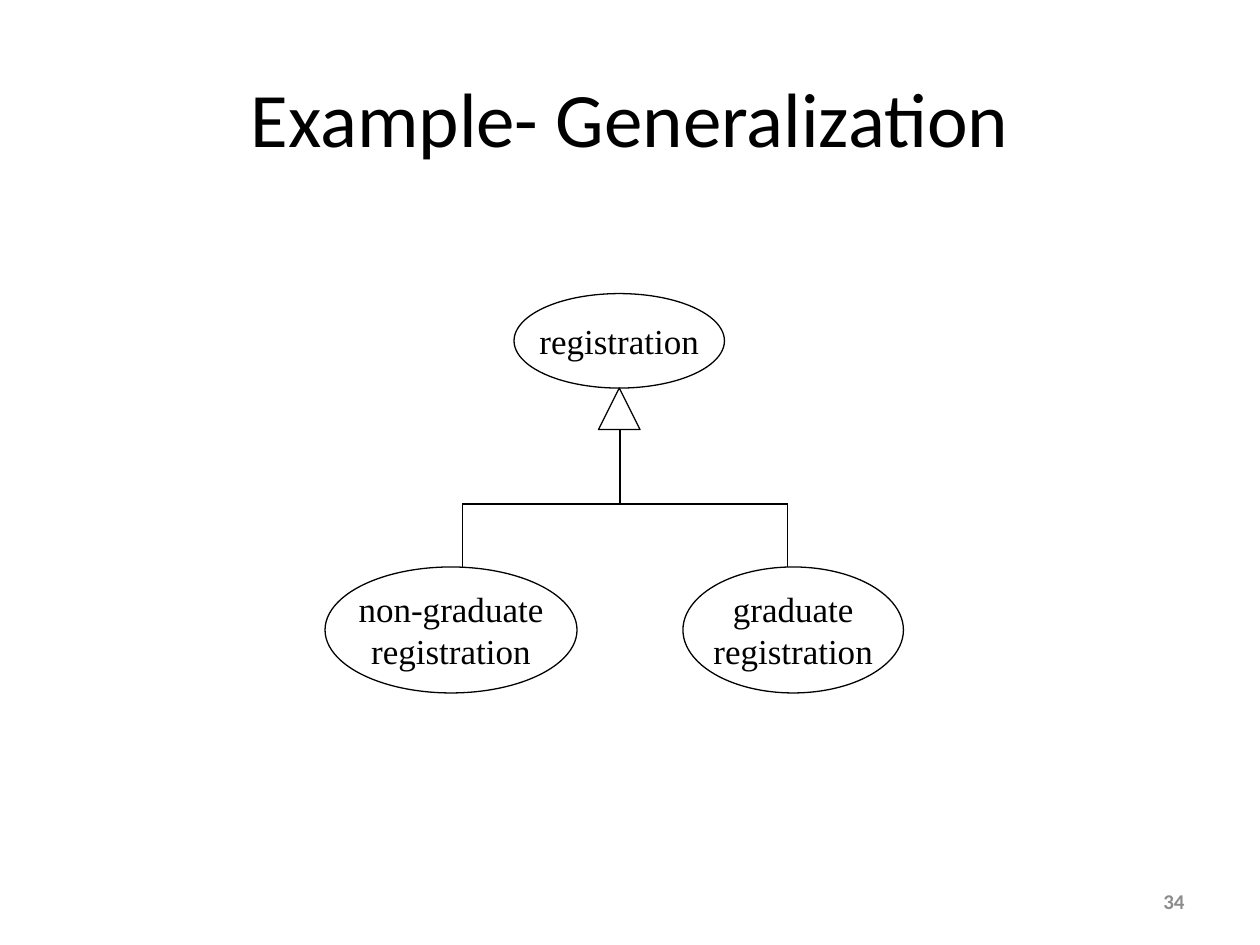
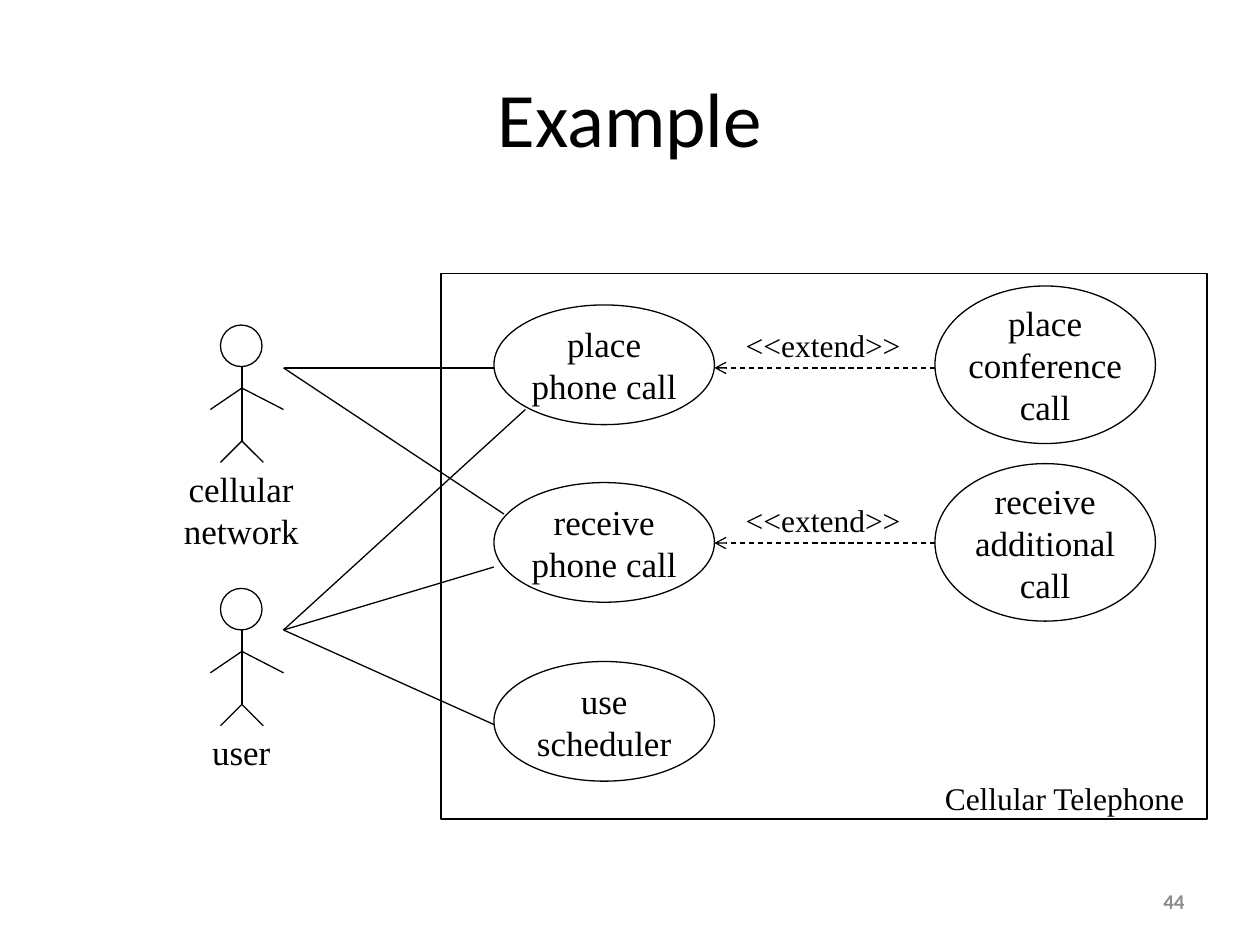
from lxml.etree import SubElement as Sub
from pptx import Presentation
from pptx.dml.color import RGBColor as Rgb
from pptx.enum.dml import MSO_LINE as Dash
from pptx.enum.shapes import MSO_CONNECTOR as Link, MSO_SHAPE as Kind
from pptx.enum.text import MSO_ANCHOR as Anchor, PP_ALIGN as Align
from pptx.oxml.ns import qn
from pptx.util import Inches, Pt

BLACK = "000000"
GREY = "8C8C8C"
SERIF = "Times New Roman"
SANS = "Calibri"


def paint(target, color):
    target.rgb = Rgb.from_string(color)


def style(run, size, face=SERIF, color=BLACK, bold=False):
    run.font.size = Pt(size)
    run.font.name = face
    run.font.bold = bold
    paint(run.font.color, color)


def text(slide, box, lines, size=20, align=Align.CENTER, wrap=True):
    frame = slide.shapes.add_textbox(*map(Inches, box)).text_frame
    frame.word_wrap = wrap
    for i, line in enumerate(lines):
        para = frame.paragraphs[0] if i == 0 else frame.add_paragraph()
        para.alignment = align
        run = para.add_run()
        run.text = line
        style(run, size)
    return frame


def page(deck, title, number):
    slide = deck.slides.add_slide(deck.slide_layouts[5])
    head = slide.shapes.title
    head.left, head.top, head.width, head.height = map(Inches, (0.5, 0.3, 9, 1.25))
    head.text_frame.vertical_anchor = Anchor.MIDDLE
    para = head.text_frame.paragraphs[0]
    para.alignment = Align.CENTER
    run = para.add_run()
    run.text = title
    style(run, 44, SANS)
    foot = text(slide, (7.17, 6.95, 2.33, 0.4), [number], 12, Align.RIGHT)
    foot.vertical_anchor = Anchor.MIDDLE
    style(foot.paragraphs[0].runs[0], 12, SANS, GREY, True)
    return slide


def outline(slide, kind, *box):
    shape = slide.shapes.add_shape(kind, *map(Inches, box))
    shape.shadow.inherit = False
    shape.fill.background()
    paint(shape.line.color, BLACK)
    shape.line.width = Pt(0.75)


def line(slide, start, end):
    link = slide.shapes.add_connector(Link.STRAIGHT, *map(Inches, start + end))
    paint(link.line.color, BLACK)
    link.line.width = Pt(0.75)
    Sub(link._element.spPr, qn("a:effectLst"))
    return link


def use_case(slide, x, y, lines, width=1.75, height=0.95):
    outline(slide, Kind.OVAL, x, y, width, height)
    box = (x + 0.07, y, width - 0.14, height)
    text(slide, box, lines).vertical_anchor = Anchor.MIDDLE


def actor(slide, y, name):
    x = 1.92
    outline(slide, Kind.OVAL, x - 0.17, y, 0.33, 0.33)
    neck, arms, hips = y + 0.33, y + 0.5, y + 0.92
    line(slide, (x, neck), (x, hips))
    for dx in (0.33, -0.25):
        line(slide, (x, arms), (x + dx, arms + 0.17))
    for dx in (0.17, -0.17):
        line(slide, (x, hips), (x + dx, hips + 0.17))
    text(slide, (x - 0.59, y + 1.08, 1.17, 0.43 * len(name)), name)


def extend(slide, y):
    link = line(slide, (7.42, y), (5.67, y))
    link.line.dash_style = Dash.DASH
    Sub(link.line._get_or_add_ln(), qn("a:tailEnd"), type="arrow")
    text(slide, (5.82, y - 0.38, 1.43, 0.4), ["<<extend>>"], 18, Align.LEFT, False)


def general(deck):
    slide = page(deck, "Example- Generalization", "34")
    left, mid, right, bar, base = 3.67, 4.92, 6.25, 4, 4.5
    use_case(slide, 4.08, 2.33, ["registration"], 1.67, 0.75)
    outline(slide, Kind.ISOSCELES_TRIANGLE, 4.75, 3.08, 0.33, 0.33)
    use_case(slide, 2.58, base, ["non-graduate", "registration"], 2, 1)
    use_case(slide, 5.42, base, ["graduate", "registration"], height=1)
    line(slide, (mid, 3.41), (mid, bar))
    line(slide, (left, bar), (right, bar))
    for x in (left, right):
        line(slide, (x, bar), (x, base))


def phone(deck):
    slide = page(deck, "Example", "44")
    near, far, tall = 3.92, 7.42, 1.25
    top, mid, low = 2.42, 3.83, 5.25
    use_case(slide, near, top, ["place", "phone call"])
    use_case(slide, near, mid, ["receive", "phone call"])
    use_case(slide, near, low, ["use", "scheduler"])
    use_case(slide, far, top - 0.15, ["place", "conference call"], height=tall)
    use_case(slide, far, mid - 0.15, ["receive", "additional call"], height=tall)

    actor(slide, 2.58, ["cellular", "network"])
    actor(slide, 4.67, ["user"])

    for end in ((near, 2.92), (4, 4.08)):
        line(slide, (2.25, 2.92), end)
    for end in ((4.17, 3.25), (near, 4.5), (near, 5.75)):
        line(slide, (2.25, 5), end)
    for y in (2.92, 4.31):
        extend(slide, y)

    outline(slide, Kind.RECTANGLE, 3.5, 2.17, 6.08, 4.33)
    text(slide, (7.4, 6.13, 2.12, 0.4), ["Cellular Telephone"], 18, Align.LEFT, False)


def main():
    deck = Presentation()
    deck.slide_width, deck.slide_height = Inches(10), Inches(7.5)
    general(deck)
    phone(deck)
    deck.save("out.pptx")


if __name__ == "__main__":
    main()
